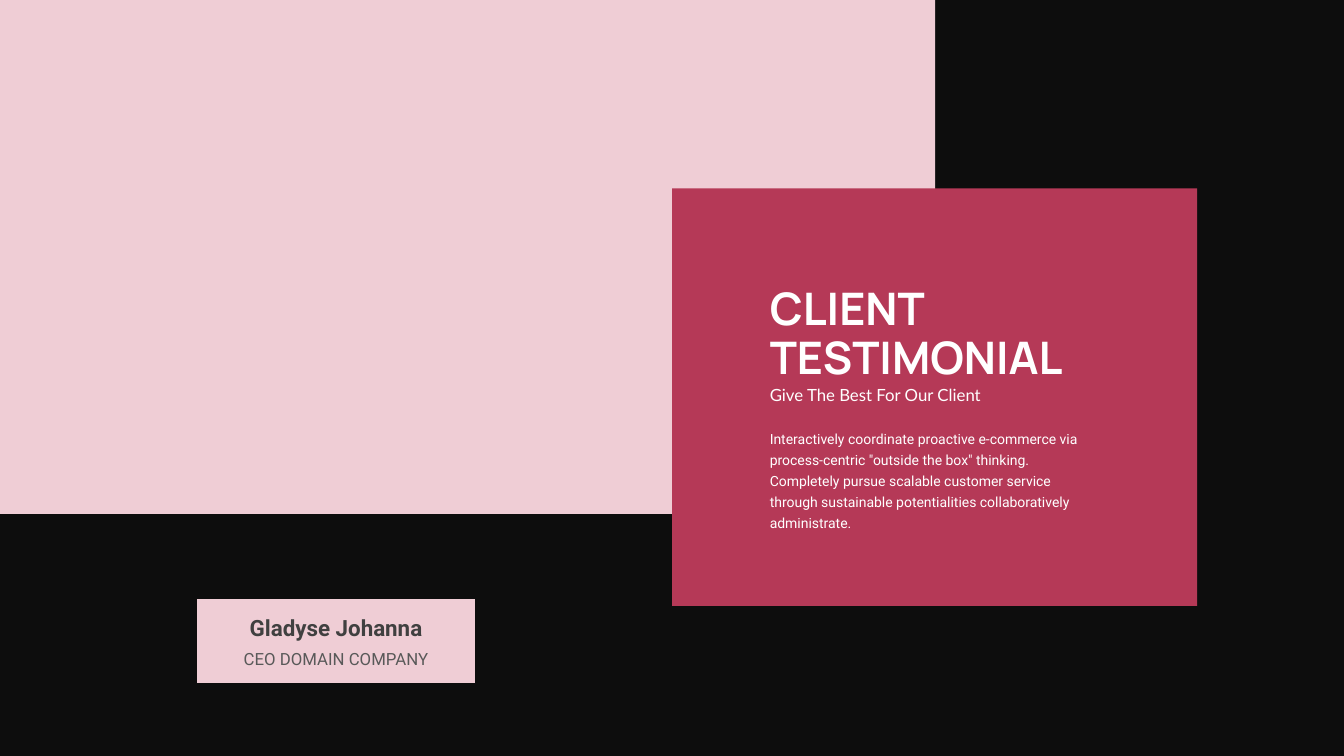
from pptx import Presentation
from pptx.dml.color import RGBColor
from pptx.enum.shapes import MSO_SHAPE
from pptx.enum.text import MSO_ANCHOR, PP_ALIGN
from pptx.util import Cm, Pt

RECTANGLE = MSO_SHAPE.RECTANGLE
TOP, MIDDLE = MSO_ANCHOR.TOP, MSO_ANCHOR.MIDDLE
LEFT, CENTER = PP_ALIGN.LEFT, PP_ALIGN.CENTER


def color(value):
    return RGBColor.from_string(value)


class TestimonialSlide:
    BLACK = "0D0D0D"
    PINK = "EFCDD5"
    CRIMSON = "B53957"
    WHITE = "FFFFFF"
    DARK_GRAY = "404040"
    GRAY = "595959"
    BODY_FONT = "Roboto"
    TITLE_FONT = "Manrope"
    SUBTITLE_FONT = "Lato"

    def __init__(self, presentation):
        self.slide = presentation.slides.add_slide(presentation.slide_layouts[6])

    def backdrop(self, fill):
        background = self.slide.background.fill
        background.solid()
        background.fore_color.rgb = color(fill)

    def panel(self, left, top, width, height, fill):
        panel = self.slide.shapes.add_shape(
            RECTANGLE, Cm(left), Cm(top), Cm(width), Cm(height))
        panel.shadow.inherit = False
        panel.fill.solid()
        panel.fill.fore_color.rgb = color(fill)
        panel.line.fill.background()

    def text(self, left, top, width, height, lines, size, ink, font=BODY_FONT,
             bold=False, align=LEFT, anchor=TOP, spacing=None):
        frame = self.slide.shapes.add_textbox(
            Cm(left), Cm(top), Cm(width), Cm(height)).text_frame
        frame.word_wrap = True
        frame.vertical_anchor = anchor
        frame.margin_left = frame.margin_right = 0
        frame.margin_top = frame.margin_bottom = 0
        for index, line in enumerate(lines):
            paragraph = frame.add_paragraph() if index else frame.paragraphs[0]
            paragraph.alignment = align
            if spacing:
                paragraph.line_spacing = Pt(spacing)
            run = paragraph.add_run()
            run.text = line
            run.font.name = font
            run.font.size = Pt(size)
            run.font.bold = bold
            run.font.color.rgb = color(ink)


def main():
    presentation = Presentation()
    presentation.slide_width = Cm(33.87)
    presentation.slide_height = Cm(19.05)
    page = TestimonialSlide(presentation)

    page.backdrop(page.BLACK)
    page.panel(0, 0, 23.57, 12.95, page.PINK)
    page.panel(16.94, 4.75, 13.23, 10.52, page.CRIMSON)
    page.panel(4.97, 15.1, 7, 2.11, page.PINK)

    name_left, name_width = 5.93, 5.08
    page.text(name_left, 15.47, name_width, 0.69, ["Gladyse Johanna"],
              16, page.DARK_GRAY, bold=True, align=CENTER)
    page.text(name_left, 16.36, name_width, 0.51, ["CEO DOMAIN COMPANY"],
              12, page.GRAY, align=CENTER)

    quote_left, quote_width = 19.4, 8.31
    page.text(quote_left, 7.19, quote_width, 2.49, ["CLIENT", "TESTIMONIAL"],
              32, page.WHITE, page.TITLE_FONT, bold=True, anchor=MIDDLE, spacing=35)
    page.text(quote_left, 9.7, quote_width, 0.51, ["Give The Best For Our Client"],
              12, page.WHITE, page.SUBTITLE_FONT)
    page.text(quote_left, 10.74, quote_width, 2.08, [
        "Interactively coordinate proactive e-commerce via process-centric "
        "\"outside the box\" thinking. Completely pursue scalable customer service "
        "through sustainable potentialities collaboratively administrate."],
        10, page.WHITE, spacing=15)

    presentation.save("out.pptx")


if __name__ == "__main__":
    main()
